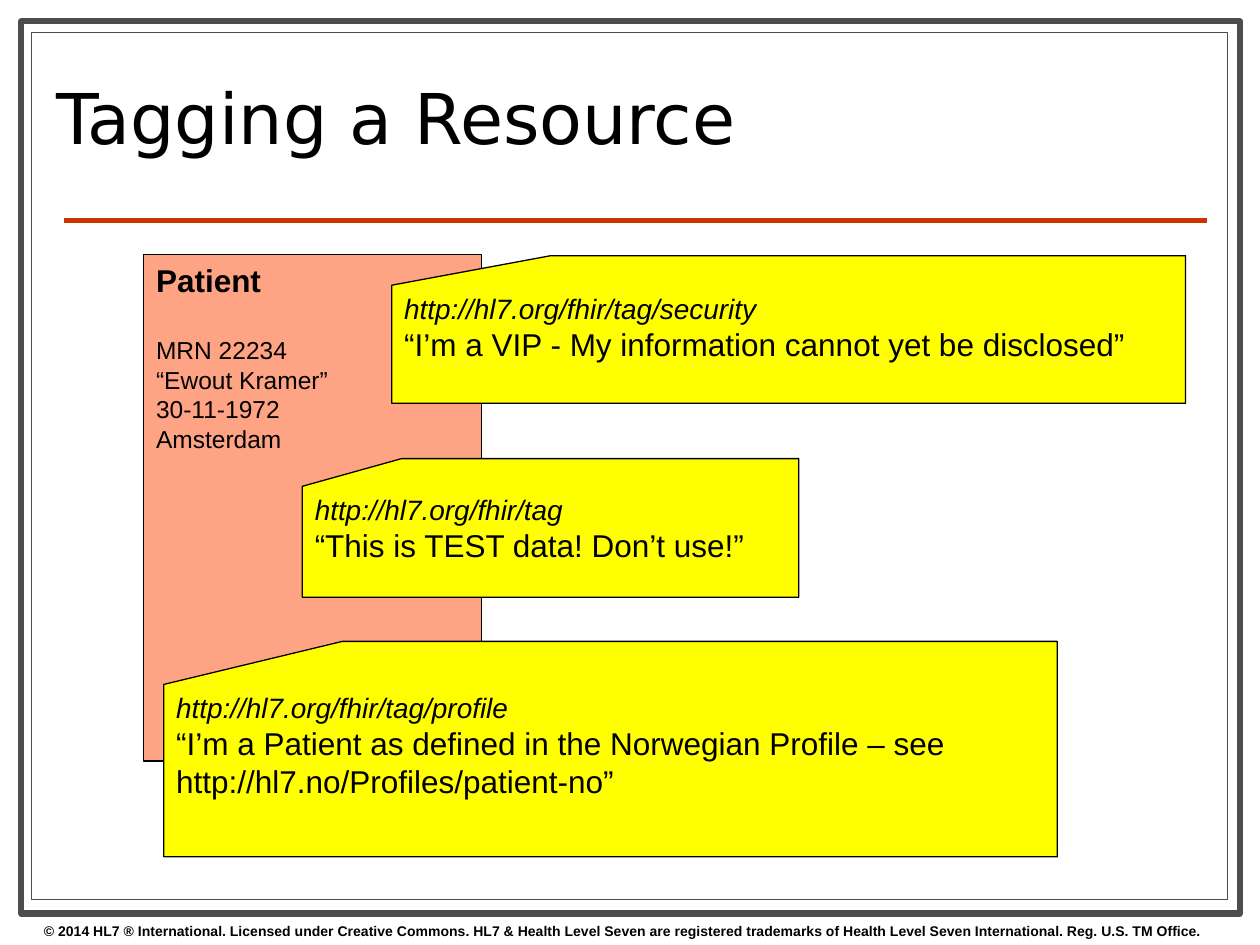
import pptx
import pptx.dml.color
import pptx.enum.shapes
import pptx.enum.text
import pptx.oxml
import pptx.util
from pptx.util import Inches

SHAPES = pptx.enum.shapes.MSO_SHAPE
ANCHOR = pptx.enum.text.MSO_ANCHOR
LEFT_ALIGNED = pptx.enum.text.PP_ALIGN.LEFT

COLOURS = {
    "paper": "FFFFFF",
    "ink": "000000",
    "frame": "4D4D4D",
    "rule": "CC3300",
    "patient": "FFA385",
    "tag": "FFFF00",
}


class SlideBuilder:
    """Holds the style and the current slide."""

    body_font = "Arial"
    title_font = "DejaVu Sans"

    def __init__(self, slide):
        self.slide = slide

    def colour(self, name):
        return pptx.dml.color.RGBColor.from_string(COLOURS[name])

    def set_lines(self, text_frame, lines, font_name=None):
        """Set one paragraph for each (text, size, bold, italic)."""
        text_frame.word_wrap = True
        text_frame.text = "\n".join(line[0] for line in lines)
        for paragraph, (_, size, bold, italic) in zip(text_frame.paragraphs, lines):
            paragraph.alignment = LEFT_ALIGNED
            for run in paragraph.runs:
                run.font.name = font_name or self.body_font
                run.font.size = pptx.util.Pt(size)
                run.font.bold = bold
                run.font.italic = italic
                run.font.color.rgb = self.colour("ink")

    def title(self, text, left, top, width, height):
        title = self.slide.shapes.title
        title.left, title.top = Inches(left), Inches(top)
        title.width, title.height = Inches(width), Inches(height)
        text_frame = title.text_frame
        self.set_lines(text_frame, [(text, 40, False, False)], self.title_font)
        text_frame.auto_size = pptx.enum.text.MSO_AUTO_SIZE.NONE
        text_frame.vertical_anchor = ANCHOR.MIDDLE
        text_frame.paragraphs[0].line_spacing = 0.8
        # Bring the title in front of the frames
        self.slide.shapes._spTree.append(title._element)

    def box(self, kind, left, top, width, height, fill, line="ink", weight=0.75, lines=()):
        shape = self.slide.shapes.add_shape(
            kind, Inches(left), Inches(top), Inches(width), Inches(height))
        shape.shadow.inherit = False
        shape.fill.solid()
        shape.fill.fore_color.rgb = self.colour(fill)
        shape.line.color.rgb = self.colour(line)
        shape.line.width = pptx.util.Pt(weight)
        if lines:
            shape.text_frame.vertical_anchor = ANCHOR.TOP
            self.set_lines(shape.text_frame, lines)
        return shape

    def tag(self, left, top, width, height, address, label):
        lines = [(address, 16, False, True), (label, 18, False, False)]
        return self.box(SHAPES.FLOWCHART_CARD, left, top, width, height, "tag", lines=lines)

    def rule(self, left, right, y):
        connector = self.slide.shapes.add_connector(
            pptx.enum.shapes.MSO_CONNECTOR.STRAIGHT,
            Inches(left), Inches(y), Inches(right), Inches(y))
        connector.line.color.rgb = self.colour("rule")
        connector.line.width = pptx.util.Pt(3)
        connector._element.spPr.append(pptx.oxml.parse_xml(
            '<a:effectLst xmlns:a="http://schemas.openxmlformats.org/drawingml/2006/main"/>'))

    def note(self, text, left, top, width, height):
        text_box = self.slide.shapes.add_textbox(
            Inches(left), Inches(top), Inches(width), Inches(height))
        self.set_lines(text_box.text_frame, [(text, 8, True, False)])


def main():
    presentation = pptx.Presentation()
    presentation.slide_width, presentation.slide_height = Inches(10), Inches(7.5)
    builder = SlideBuilder(presentation.slides.add_slide(presentation.slide_layouts[5]))

    # Double frame, rule and copyright line
    builder.box(SHAPES.RECTANGLE, 0.17, 0.17, 9.67, 7.08, "paper", "frame", 3.5)
    builder.box(SHAPES.RECTANGLE, 0.25, 0.26, 9.49, 6.88, "paper", "frame")
    builder.rule(0.51, 9.58, 1.75)
    builder.note(
        "© 2014 HL7 ® International. Licensed under Creative Commons. "
        "HL7 & Health Level Seven are registered trademarks of "
        "Health Level Seven International. Reg. U.S. TM Office.",
        0.25, 7.27, 9.75, 0.23)

    builder.title("Tagging a Resource", 0.35, 0.36, 7.17, 1.26)

    # Patient resource
    details = ["MRN 22234", "“Ewout Kramer”", "30-11-1972", "Amsterdam"]
    patient = builder.box(
        SHAPES.RECTANGLE, 1.14, 2.02, 2.68, 4.02, "patient",
        lines=[("Patient", 18, True, False)]
        + [(detail, 14, False, False) for detail in details])
    patient.text_frame.paragraphs[1].space_before = pptx.util.Pt(21)

    # Tags attached to the resource
    builder.tag(3.11, 2.03, 6.3, 1.17, "http://hl7.org/fhir/tag/security",
                "“I’m a VIP - My information cannot yet be disclosed”")
    builder.tag(2.4, 3.64, 3.94, 1.1, "http://hl7.org/fhir/tag",
                "“This is TEST data! Don’t use!”")
    builder.tag(1.3, 5.09, 7.09, 1.71, "http://hl7.org/fhir/tag/profile",
                "“I’m a Patient as defined in the Norwegian Profile – see "
                "http://hl7.no/Profiles/patient-no”")

    presentation.save("out.pptx")


if __name__ == "__main__":
    main()
